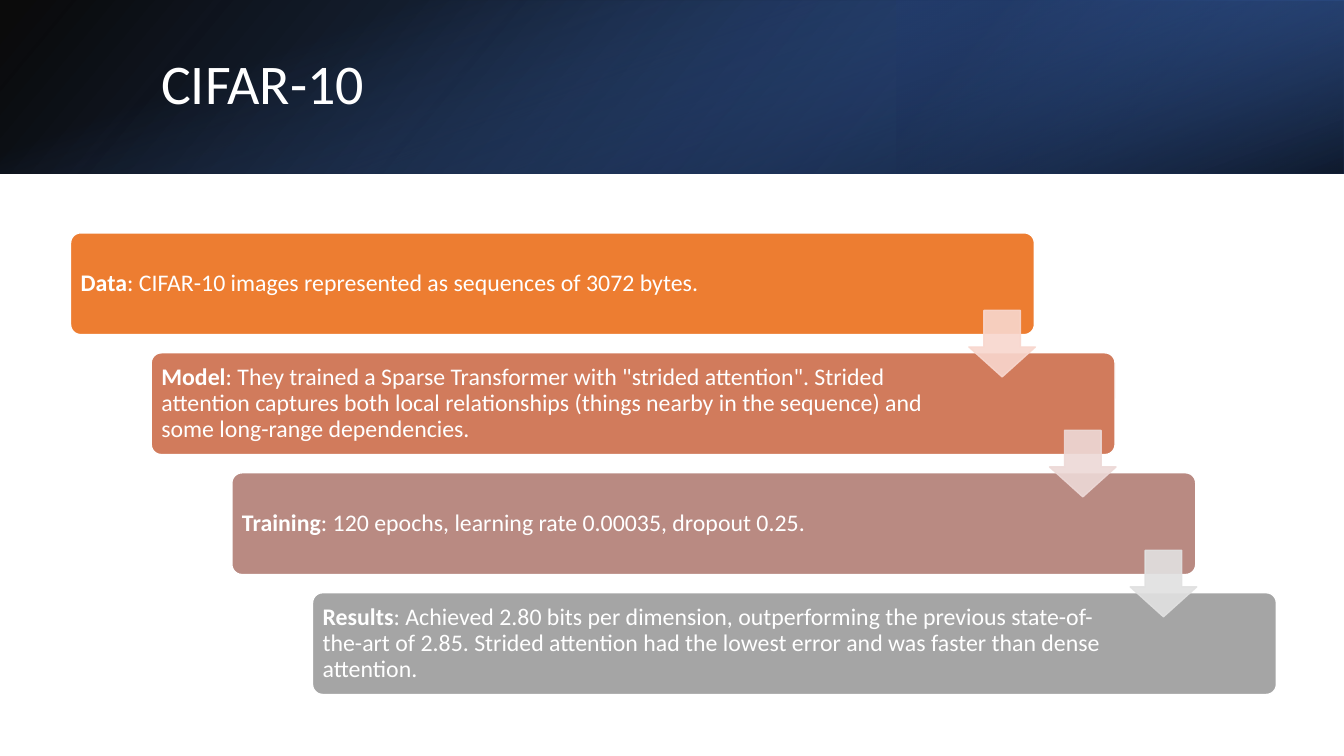
from dataclasses import dataclass

from pptx import Presentation
from pptx.dml.color import RGBColor
from pptx.enum.shapes import MSO_SHAPE
from pptx.enum.text import MSO_ANCHOR, PP_ALIGN
from pptx.oxml.ns import qn
from pptx.util import Inches, Pt

RECTANGLE = MSO_SHAPE.RECTANGLE
ROUNDED = MSO_SHAPE.ROUNDED_RECTANGLE
DOWN_ARROW = MSO_SHAPE.DOWN_ARROW
MIDDLE = MSO_ANCHOR.MIDDLE
LEFT = PP_ALIGN.LEFT

FONT = "Calibri"
COLORS = {
    "white": "FFFFFF",
    "black": "000000",
    "blue": "4472C4",
    "mid_blue": "2F5597",
    "navy": "203864",
    "orange": "ED7D31",
    "terracotta": "D17B5C",
    "rose": "B98A82",
    "gray": "A5A5A5",
    "pale_orange": "F8D7CE",
    "pale_rose": "EDD9D7",
    "pale_gray": "E1E1E1",
}

STEP_X, STEP_Y = 0.8, 1.19
CARD_LEFT, CARD_TOP, CARD_WIDTH, CARD_HEIGHT = 0.7, 2.31, 9.56, 1.01
CAPTION_INSET = 0.03
ARROW_LEFT, ARROW_TOP, ARROW_SIZE = 9.61, 3.08, 0.66
ARROW_OPACITY = 90


@dataclass(frozen=True)
class Stop:
    position: float
    color: str
    opacity: int


@dataclass(frozen=True)
class Band:
    """One layer of the header; angle runs clockwise in degrees."""
    box: tuple[float, float, float, float]
    stops: tuple[Stop, Stop]
    angle: int
    rotation: int = 0
    flipped: bool = False


@dataclass(frozen=True)
class Stage:
    label: str
    detail: str
    color: str
    caption_width: float = 8.05


BANDS = (
    Band((0, 0, 13.33, 1.72),
         (Stop(0, "black", 96), Stop(1, "mid_blue", 100)), 140, flipped=True),
    Band((8.89, 0, 4.44, 1.72),
         (Stop(0.19, "navy", 68), Stop(1, "blue", 79)), 320, 180, True),
    Band((5.8, -5.8, 1.72, 13.33),
         (Stop(0.23, "blue", 0), Stop(0.99, "black", 74)), 340, 90),
)
STAGES = (
    Stage("Data", "CIFAR-10 images represented as sequences of 3072 bytes.",
          "orange", 8.39),
    Stage("Model", 'They trained a Sparse Transformer with "strided attention". '
          "Strided attention captures both local relationships (things nearby "
          "in the sequence) and some long-range dependencies.", "terracotta"),
    Stage("Training", "120 epochs, learning rate 0.00035, dropout 0.25.", "rose"),
    Stage("Results", "Achieved 2.80 bits per dimension, outperforming the "
          "previous state-of-the-art of 2.85. Strided attention had the lowest "
          "error and was faster than dense attention.", "gray"),
)
ARROW_COLORS = ("pale_orange", "pale_rose", "pale_gray")


def rgb(name: str) -> RGBColor:
    return RGBColor.from_string(COLORS[name])


def set_opacity(shape, percents: tuple[int, ...]) -> None:
    """Give each colour of the shape, in document order, its opacity."""
    for color, percent in zip(shape._element.spPr.iter(qn("a:srgbClr")), percents):
        alpha = color.makeelement(qn("a:alpha"), {"val": str(percent * 1000)})
        color.append(alpha)


def add_preset(slide, preset, box: tuple[float, float, float, float]):
    shape = slide.shapes.add_shape(preset, *map(Inches, box))
    shape.shadow.inherit = False
    return shape


def add_band(slide, band: Band) -> None:
    shape = add_preset(slide, RECTANGLE, band.box)
    shape.line.fill.background()
    shape.rotation = band.rotation
    if band.flipped:
        shape._element.spPr.xfrm.set("flipH", "1")
    shape.fill.gradient()
    shape.fill.gradient_angle = 360 - band.angle
    for target, stop in zip(shape.fill.gradient_stops, band.stops):
        target.position = stop.position
        target.color.rgb = rgb(stop.color)
    set_opacity(shape, tuple(stop.opacity for stop in band.stops))


def add_solid(slide, preset, box: tuple[float, float, float, float],
              fill: str, line: str, adjustments: tuple[float, ...]):
    shape = add_preset(slide, preset, box)
    shape.fill.solid()
    shape.fill.fore_color.rgb = rgb(fill)
    shape.line.color.rgb = rgb(line)
    shape.line.width = Pt(1)
    for index, value in enumerate(adjustments):
        shape.adjustments[index] = value
    return shape


def add_text(slide, box: tuple[float, float, float, float], size: int):
    """Add a white, middle-anchored text box and return it with its paragraph."""
    text_box = slide.shapes.add_textbox(*map(Inches, box))
    frame = text_box.text_frame
    frame.word_wrap = True
    frame.vertical_anchor = MIDDLE
    paragraph = frame.paragraphs[0]
    paragraph.alignment = LEFT
    paragraph.line_spacing = 0.9
    paragraph.font.name = FONT
    paragraph.font.size = Pt(size)
    paragraph.font.color.rgb = rgb("white")
    return frame, paragraph


def add_stage(slide, index: int, stage: Stage) -> None:
    left, top = CARD_LEFT + index * STEP_X, CARD_TOP + index * STEP_Y
    add_solid(slide, ROUNDED, (left, top, CARD_WIDTH, CARD_HEIGHT),
              stage.color, "white", (0.1,))
    caption_box = (left + CAPTION_INSET, top + CAPTION_INSET,
                   stage.caption_width, CARD_HEIGHT - 2 * CAPTION_INSET)
    frame, paragraph = add_text(slide, caption_box, 17)
    frame.margin_left = frame.margin_right = Inches(0.07)
    frame.margin_top = frame.margin_bottom = Inches(0.07)
    label = paragraph.add_run()
    label.text = stage.label
    label.font.bold = True
    paragraph.add_run().text = f": {stage.detail}"


def add_arrow(slide, index: int, color: str) -> None:
    box = (ARROW_LEFT + index * STEP_X, ARROW_TOP + index * STEP_Y,
           ARROW_SIZE, ARROW_SIZE)
    arrow = add_solid(slide, DOWN_ARROW, box, color, color, (0.55, 0.45))
    set_opacity(arrow, (ARROW_OPACITY, ARROW_OPACITY))


def main() -> None:
    deck = Presentation()
    deck.slide_width, deck.slide_height = Inches(13.33), Inches(7.5)
    slide = deck.slides.add_slide(deck.slide_layouts[6])
    for band in BANDS:
        add_band(slide, band)
    _, title = add_text(slide, (1.5, 0.38, 10.98, 0.96), 40)
    title.add_run().text = "CIFAR-10"
    for index, stage in enumerate(STAGES):
        add_stage(slide, index, stage)
    for index, color in enumerate(ARROW_COLORS):
        add_arrow(slide, index, color)
    deck.save("out.pptx")


if __name__ == "__main__":
    main()
